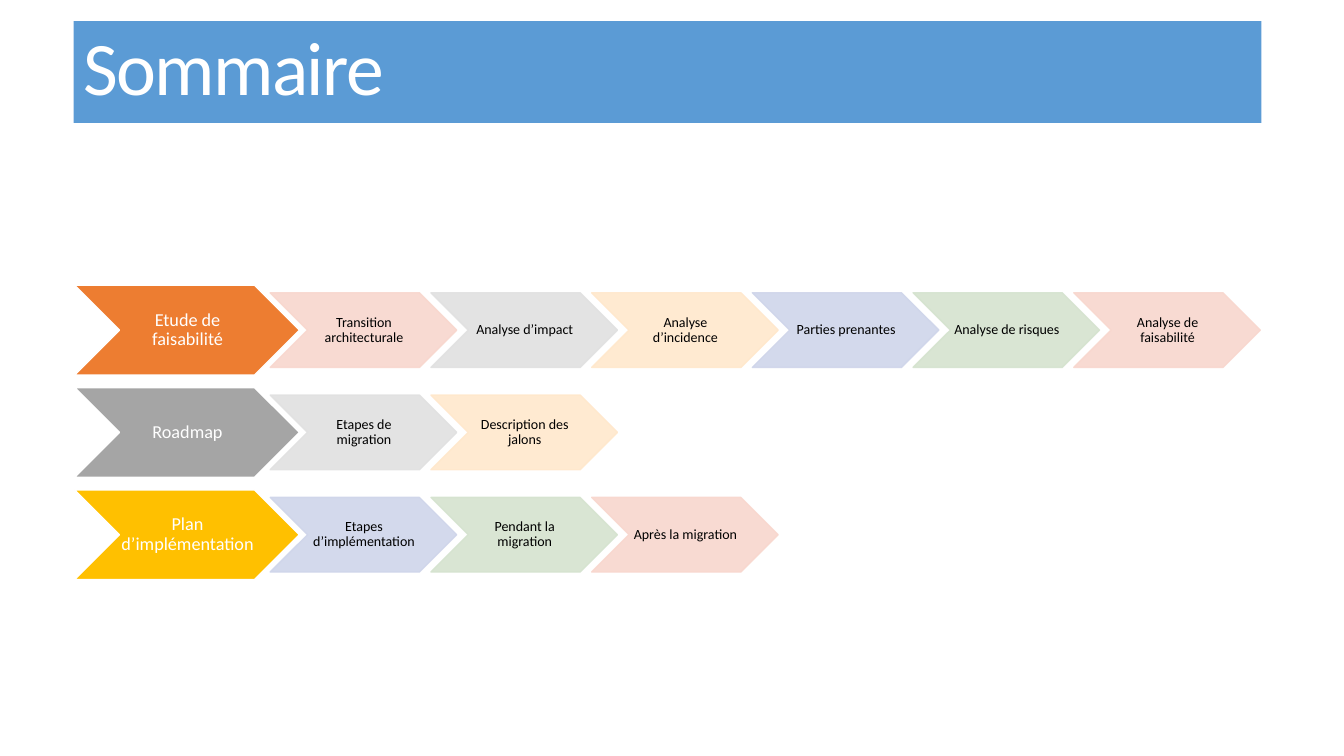
from itertools import cycle

from lxml import etree
from pptx import Presentation
from pptx.dml.color import RGBColor
from pptx.enum.shapes import MSO_SHAPE as Shape
from pptx.enum.text import MSO_ANCHOR as Anchor, MSO_AUTO_SIZE as AutoSize, PP_ALIGN as Align
from pptx.oxml.ns import qn
from pptx.util import Inches, Pt

FONT = "Calibri"
COLORS = {
    "banner": "5B9BD5", "white": "FFFFFF", "black": "000000",
    "orange": "ED7D31", "grey": "A5A5A5", "gold": "FFC000",
    "pale pink": "F8D7CE", "pale grey": "E1E1E1", "pale cream": "FFE8CC",
    "pale blue": "CFD5EA", "pale green": "D5E3CF",
}
STEP_TINTS = ["pale pink", "pale grey", "pale cream", "pale blue", "pale green"]
PHASES = [
    ("Etude de faisabilité", "orange",
     ["Transition architecturale", "Analyse d’impact", "Analyse d’incidence",
      "Parties prenantes", "Analyse de risques", "Analyse de faisabilité"]),
    ("Roadmap", "grey", ["Etapes de migration", "Description des jalons"]),
    ("Plan d’implémentation", "gold",
     ["Etapes d’implémentation", "Pendant la migration", "Après la migration"]),
]
PHASE_SIZE = (2.23, 0.89)
STEP_SIZE = (1.85, 0.74)
STEP_OFFSET = 1.94  # from the left of a phase to its first step
MAX_STEPS = max(len(steps) for _, _, steps in PHASES)


def rgb(name):
    return RGBColor.from_string(COLORS[name])


def style_text(paragraph, size, color, line_spacing):
    paragraph.line_spacing = line_spacing
    font = paragraph.runs[0].font
    font.name, font.size = FONT, Pt(size)
    font.color.rgb = rgb(color)


def set_opacity(shape, percent):
    for color in shape._element.spPr.iter(qn("a:srgbClr")):
        etree.SubElement(color, qn("a:alpha")).set("val", str(percent * 1000))


def add_title(slide, left, top, width, height):
    title = slide.shapes.title
    title.left, title.top = Inches(left), Inches(top)
    title.width, title.height = Inches(width), Inches(height)
    title.fill.solid()
    title.fill.fore_color.rgb = rgb("banner")
    frame = title.text_frame
    frame.text = "Sommaire"
    frame.auto_size = AutoSize.NONE
    frame.vertical_anchor = Anchor.MIDDLE
    heading = frame.paragraphs[0]
    heading.alignment = Align.LEFT
    style_text(heading, 54, "white", 0.85)
    heading.runs[0].font._element.set("spc", "-120")


def add_chevron(slide, left, middle, extent, label, size, fill, line, text_color):
    width, height = extent
    chevron = slide.shapes.add_shape(
        Shape.CHEVRON, Inches(left), Inches(middle - height / 2), Inches(width), Inches(height))
    chevron.shadow.inherit = False
    chevron.fill.solid()
    chevron.fill.fore_color.rgb = rgb(fill)
    chevron.line.color.rgb = rgb(line)
    chevron.line.width = Pt(1)
    frame = chevron.text_frame
    frame.text = label
    frame.word_wrap = True
    frame.vertical_anchor = Anchor.MIDDLE
    frame.margin_left = frame.margin_top = frame.margin_bottom = Inches(0.01)
    frame.margin_right = 0
    frame.paragraphs[0].alignment = Align.CENTER
    style_text(frame.paragraphs[0], size, text_color, 0.9)
    return chevron


def add_phases(slide, left, top, width, height):
    row_pitch = (height - PHASE_SIZE[1]) / (len(PHASES) - 1)
    step_pitch = (width - STEP_OFFSET - STEP_SIZE[0]) / (MAX_STEPS - 1)
    tints = cycle(STEP_TINTS)  # the tints run on from one row to the next
    for row, (phase, color, steps) in enumerate(PHASES):
        middle = top + row * row_pitch + PHASE_SIZE[1] / 2
        add_chevron(slide, left, middle, PHASE_SIZE, phase, 13, color, "white", "white")
        for column, step in enumerate(steps):
            tint = next(tints)
            step_left = left + STEP_OFFSET + column * step_pitch
            chevron = add_chevron(
                slide, step_left, middle, STEP_SIZE, step, 10, tint, tint, "black")
            set_opacity(chevron, 90)


def main():
    deck = Presentation()
    deck.slide_width, deck.slide_height = Inches(13.33), Inches(7.5)
    slide = deck.slides.add_slide(deck.slide_layouts.get_by_name("Title Only"))
    add_title(slide, 0.73, 0.21, 11.78, 1.01)
    add_phases(slide, 0.74, 2.83, 11.76, 2.92)
    deck.save("out.pptx")


if __name__ == "__main__":
    main()
